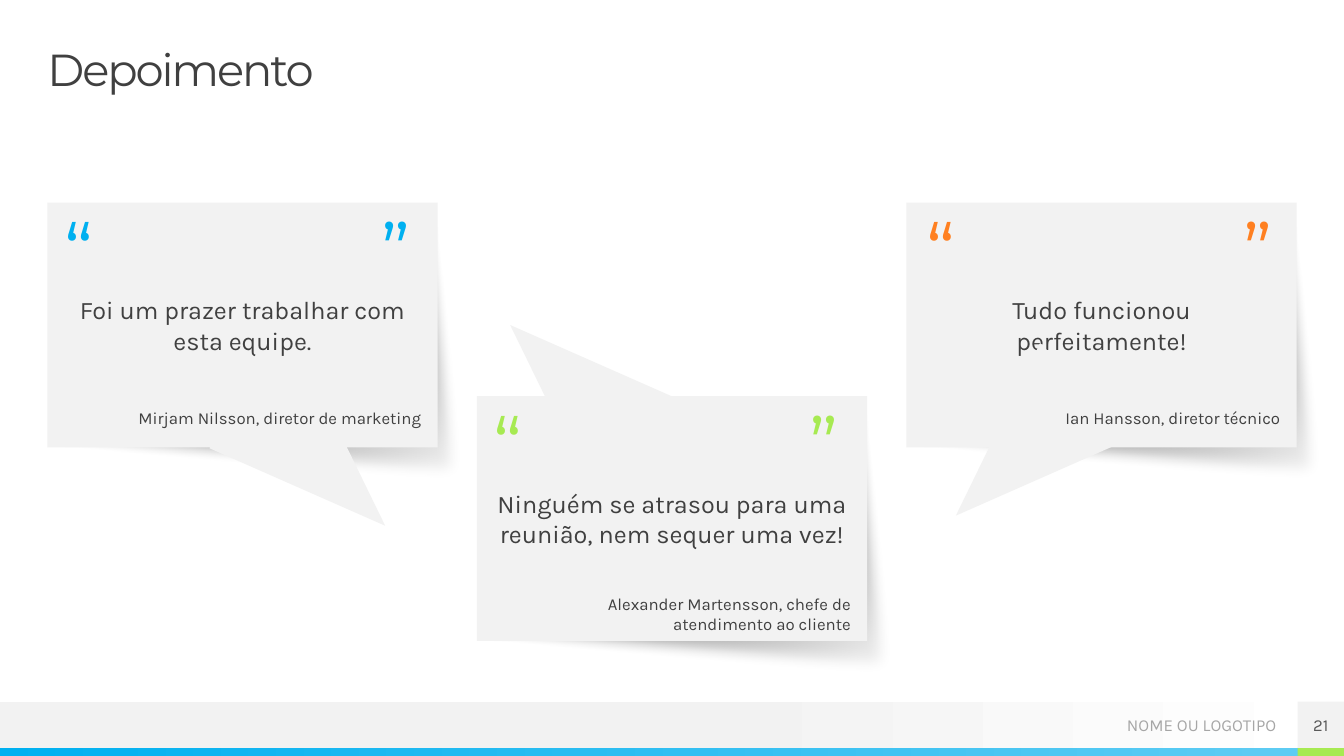
from lxml.etree import SubElement
from pptx import Presentation
from pptx.dml.color import RGBColor
from pptx.enum.shapes import MSO_SHAPE
from pptx.enum.text import MSO_ANCHOR, MSO_AUTO_SIZE, PP_ALIGN
from pptx.oxml.ns import qn
from pptx.util import Inches, Pt

# Grid: three card columns between equal margins
WIDTH, HEIGHT = 13.33, 7.5
MARGIN = 0.47
CARD_WIDTH, CARD_HEIGHT = 3.87, 2.43
COLUMN_STEP = 4.26
UPPER_ROW, LOWER_ROW = 2.01, 3.93
BADGE = 0.46
FOOTER_TOP = 6.96
STRIPE_TOP = FOOTER_TOP + BADGE
TAIL_WIDTH, TAIL_HEIGHT = 1.31, 1.79

DARK, PALE = "404040", "F2F2F2"

# column, row, accent, quote, author, author height, quote mark inset,
# tail (left, top, rotation, in front of the card)
CARDS = [
    (0, UPPER_ROW, "00B0F0", "Foi um prazer trabalhar com esta equipe.",
     "Mirjam Nilsson, diretor de marketing", (0.16, 2.03, 3.55, 0.25), 0.17,
     (2.05, 1.69, 133.9, True)),
    (1, LOWER_ROW, "A7EA52", "Ninguém se atrasou para uma reunião, nem sequer uma vez!",
     "Alexander Martensson, chefe de atendimento ao cliente", (0.52, 1.96, 3.19, 0.47), 0.16,
     (0.32, -0.98, 313.9, False)),
    (2, UPPER_ROW, "FF8021", "Tudo funcionou perfeitamente!",
     "Ian Hansson, diretor técnico", (0.16, 2.03, 3.55, 0.25), 0.2,
     (0.48, 1.59, 226.1, True)),
]


def color(value):
    return RGBColor.from_string(value)


def place(left, top, width, height):
    return [Inches(length) for length in (left, top, width, height)]


def write(shape, text, size=12, font="Karla", ink=DARK, align=PP_ALIGN.LEFT,
          anchor=MSO_ANCHOR.TOP, inset=0, leading=None, tracking=None):
    frame = shape.text_frame
    frame.word_wrap = True
    frame.auto_size = MSO_AUTO_SIZE.NONE
    frame.vertical_anchor = anchor
    frame.margin_left = frame.margin_right = Inches(inset)
    frame.margin_top = frame.margin_bottom = Inches(inset)
    para = frame.paragraphs[0]
    para.alignment = align
    if leading:
        para.line_spacing = leading
    span = para.add_run()
    span.text = text
    span.font.size, span.font.name = Pt(size), font
    span.font.color.rgb = color(ink)
    if tracking:
        span.font._element.set("spc", str(int(tracking * 100)))


def add_label(page, bounds, text, **style):
    box = page.shapes.add_textbox(*place(*bounds))
    write(box, text, **style)


def fill_gradient(shape, stops, angle=0):
    shape.fill.gradient()
    shape.fill.gradient_angle = angle
    for stop, (position, value) in zip(shape.fill.gradient_stops, stops):
        stop.position = position
        stop.color.rgb = color(value)


def add_block(page, bounds, fill=PALE, kind=MSO_SHAPE.RECTANGLE, rotation=0):
    block = page.shapes.add_shape(kind, *place(*bounds))
    block.shadow.inherit = False
    block.line.fill.background()
    block.fill.solid()
    block.fill.fore_color.rgb = color(fill)
    block.rotation = rotation
    return block


def add_soft_shadow(page, left, top):
    """Dark sheet that fades out towards the lower right corner."""
    bottom = top + CARD_HEIGHT
    outline = [(left + CARD_WIDTH, top), (left + CARD_WIDTH + 0.31, bottom + 0.39),
               (left, bottom)]
    builder = page.shapes.build_freeform(Inches(left), Inches(top))
    builder.add_line_segments([(Inches(x), Inches(y)) for x, y in outline], close=True)
    sheet = builder.convert_to_shape()
    sheet.shadow.inherit = False
    sheet.line.fill.background()
    fill_gradient(sheet, [(0, "000000"), (1, "000000")], angle=300)
    properties = sheet._element.spPr
    last_color = properties.findall(".//" + qn("a:srgbClr"))[-1]
    SubElement(last_color, qn("a:alpha"), val="0")
    SubElement(properties.find(qn("a:effectLst")), qn("a:softEdge"), rad="127000")


def add_card(page, column, top, accent, quote, author, author_bounds, mark_inset, tail):
    left = MARGIN + column * COLUMN_STEP
    add_soft_shadow(page, left, top)

    # Speech tail and card
    tail_left, tail_top, rotation, in_front = tail

    def add_tail():
        add_block(page, (left + tail_left, top + tail_top, TAIL_WIDTH, TAIL_HEIGHT),
                  kind=MSO_SHAPE.ISOSCELES_TRIANGLE, rotation=rotation)

    if not in_front:
        add_tail()
    card = add_block(page, (left, top, CARD_WIDTH, CARD_HEIGHT))
    write(card, quote, size=18, align=PP_ALIGN.CENTER, anchor=MSO_ANCHOR.MIDDLE, inset=0.2)
    if in_front:
        add_tail()

    # Quote marks and author
    for mark, shift in (("“", 0), ("”", 3.14)):
        add_label(page, (left + mark_inset + shift, top + 0.11, 0.53, 0.47), mark,
                  size=54, font="Montserrat", ink=accent, leading=0.9, tracking=-1.5)
    author_left, author_top, author_width, author_height = author_bounds
    add_label(page, (left + author_left, top + author_top, author_width, author_height),
              author, align=PP_ALIGN.RIGHT)


def add_footer(page):
    badge_left = WIDTH - BADGE
    stripe_height = HEIGHT - STRIPE_TOP
    band = add_block(page, (0, FOOTER_TOP, WIDTH, BADGE))
    fill_gradient(band, [(0.53, PALE), (1, "FFFFFF")])
    stripe = add_block(page, (0, STRIPE_TOP, badge_left, stripe_height))
    fill_gradient(stripe, [(0, "00B0F0"), (1, "5ECCF3")])
    add_block(page, (badge_left, STRIPE_TOP, BADGE, stripe_height), fill="A7EA52")
    add_label(page, (10.42, FOOTER_TOP, 2.24, BADGE), "NOME OU LOGOTIPO", ink="A6A6A6",
              align=PP_ALIGN.RIGHT, anchor=MSO_ANCHOR.MIDDLE)
    badge = add_block(page, (badge_left, FOOTER_TOP, BADGE, BADGE))
    write(badge, "21", ink="595959", align=PP_ALIGN.CENTER, anchor=MSO_ANCHOR.MIDDLE)


def add_title(page, text):
    title = page.shapes.title
    title.left, title.top, title.width, title.height = place(
        MARGIN, MARGIN, WIDTH - 2 * MARGIN, 0.47)
    write(title, text, size=32, font="Montserrat", leading=0.9, tracking=-1.5)


def main():
    deck = Presentation()
    deck.slide_width, deck.slide_height = Inches(WIDTH), Inches(HEIGHT)
    page = deck.slides.add_slide(deck.slide_layouts[5])
    add_footer(page)
    add_title(page, "Depoimento")
    for card in CARDS:
        add_card(page, *card)
    deck.save("out.pptx")


if __name__ == "__main__":
    main()
